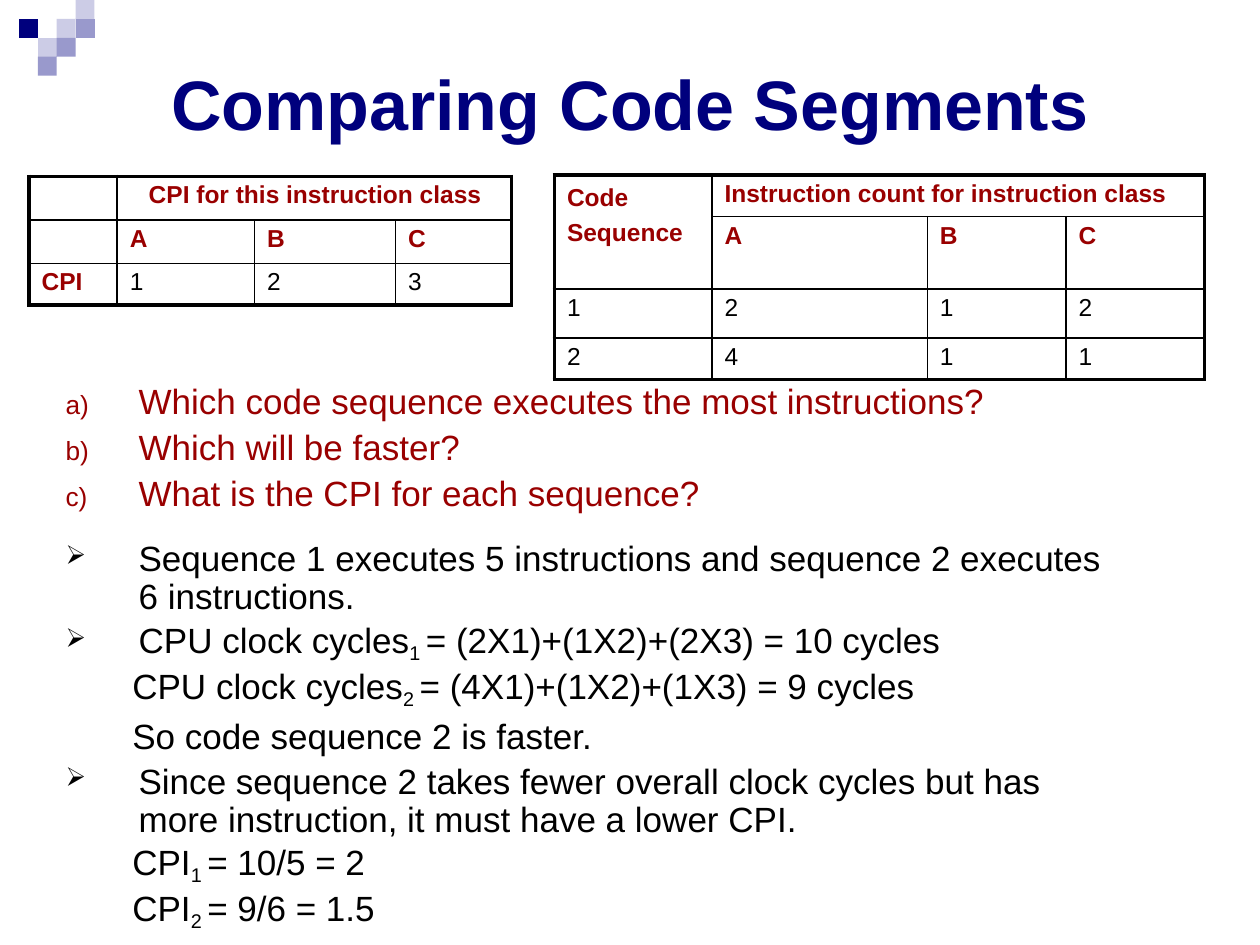
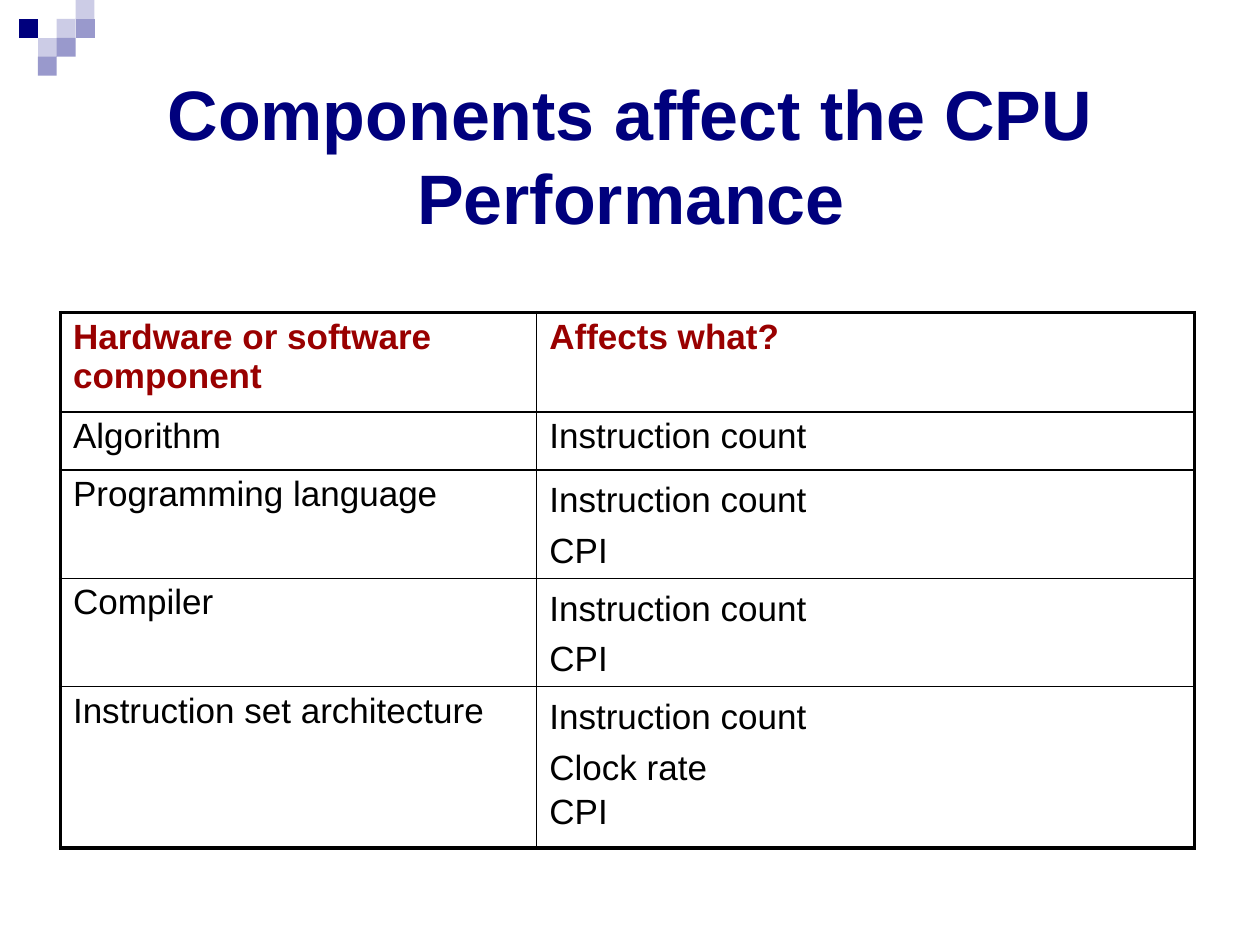
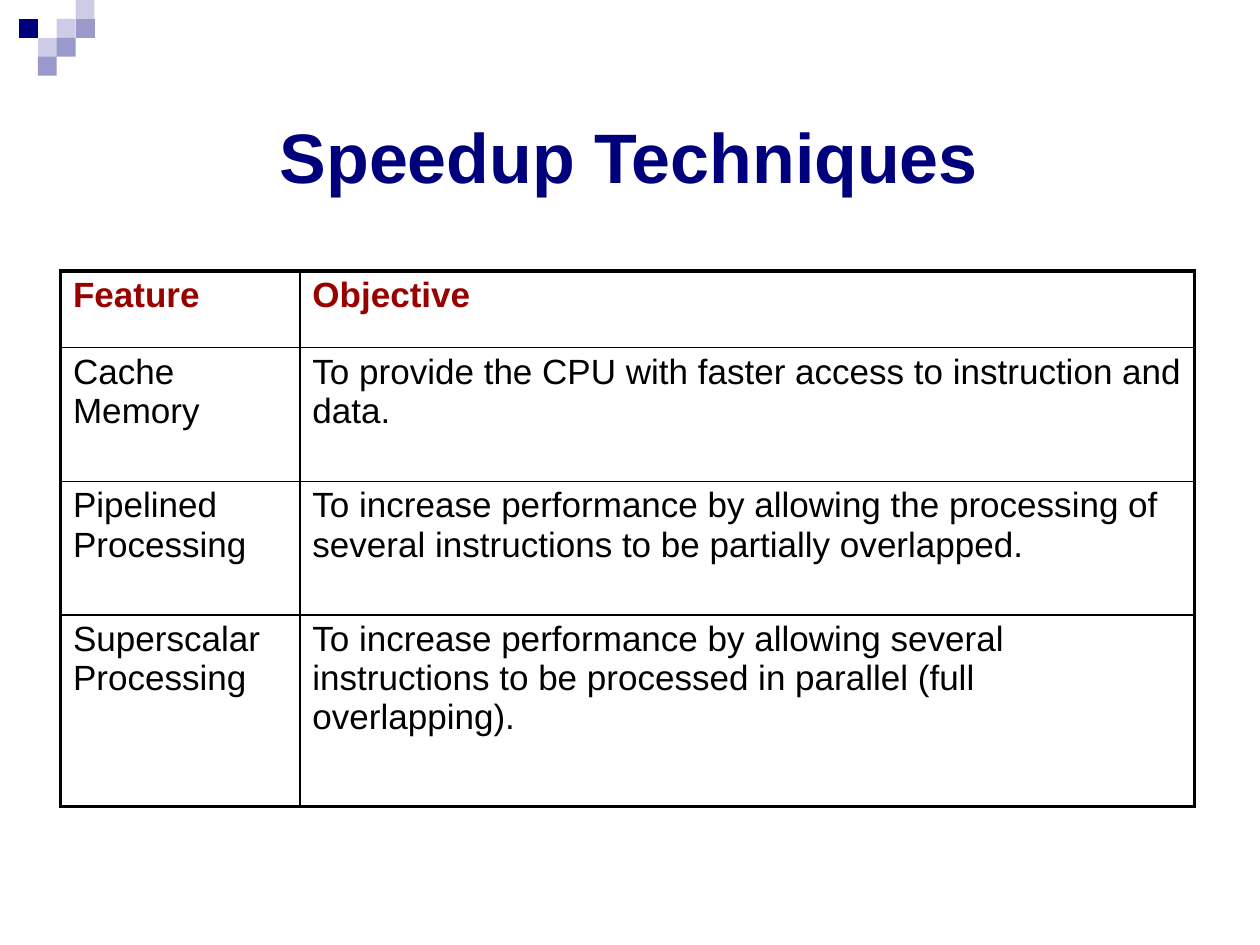
from dataclasses import dataclass
from typing import Any, NamedTuple, Optional

from pptx import Presentation
from pptx.dml.color import RGBColor
from pptx.enum.text import MSO_ANCHOR, MSO_AUTO_SIZE, PP_ALIGN
from pptx.oxml.ns import qn
from pptx.util import Inches, Pt
from lxml.etree import SubElement

NAVY = RGBColor(0x00, 0x00, 0x7D)
PERIWINKLE = RGBColor(0x99, 0x99, 0xCC)
LAVENDER = RGBColor(0xCC, 0xCC, 0xE6)
RED = RGBColor(0x99, 0x00, 0x00)
BLACK = RGBColor(0x00, 0x00, 0x00)

FONT = "Arial"
TITLE_ONLY = 5
CORNER_CELL = Inches(0.15)
OUTER_BORDER, INNER_BORDER = Pt(2.25), Pt(1)
CELL_INDENT = 0.1
LETTERED, ARROW = "a)", "➢"


class Box(NamedTuple):
    left: float
    top: float
    width: float
    height: float


class CornerMark(NamedTuple):
    """Squares of one colour, as (column, row) on the corner grid."""
    color: RGBColor
    squares: list[tuple[int, int]]


class Line(NamedTuple):
    """One paragraph; text between underscores is subscript."""
    text: str
    before: float = 0
    spacing: Optional[float] = None
    indent: float = CELL_INDENT
    hanging: float = 0
    bullet: str = ""
    color: RGBColor = BLACK


class TextStyle(NamedTuple):
    size: float
    bold: bool = False


class Cell(NamedTuple):
    lines: list[Line]
    bold: bool = False
    top: float = 0.04
    right: float = 0
    span: tuple[int, int] = (1, 1)


@dataclass
class Title:
    text: str
    box: Box
    top: float = 0.01
    indent: float = 0.01
    hanging: float = 0


@dataclass
class TableSpec:
    box: Box
    size: float
    columns: list[float]
    rows: list[float]
    cells: list[list[Optional[Cell]]]


CORNER = [
    CornerMark(LAVENDER, [(3, 1), (4, 0)]),
    CornerMark(PERIWINKLE, [(4, 1)]),
    CornerMark(LAVENDER, [(2, 2)]),
    CornerMark(NAVY, [(1, 1)]),
    CornerMark(PERIWINKLE, [(3, 2), (2, 3)]),
]


def header(text: str, indent: float = CELL_INDENT, **options: Any) -> Cell:
    return Cell([Line(text, 3, indent=indent, color=RED)], bold=True, **options)


def entry(text: str, **options: Any) -> Cell:
    return Cell([Line(text, 3)], **options)


def stacked(*texts: str, last: str = "") -> Cell:
    """A cell of widely spaced lines, with an optional tighter last one."""
    lines = [Line(text, spacing=28.8) for text in texts]
    if last:
        lines.append(Line(last, 3))
    return Cell(lines, top=0)


def question(text: str, before: float = 2.4) -> Line:
    return Line(text, before, 24, 0.67, -0.58, LETTERED, RED)


def answer(text: str, before: float, spacing: float = 21.6) -> Line:
    return Line(text, before, spacing, 0.67, -0.58, ARROW)


def working(text: str, before: float = 0) -> Line:
    return Line(text, before, 26.4, 0.62)


CPI_TABLE = TableSpec(
    Box(0.23, 1.4, 3.83, 1), 14, [0.7, 1.09, 1.12, 0.92], [0.33] * 3,
    [
        [Cell([]), header("CPI for this instruction class", 0.25, span=(1, 3)), None, None],
        [Cell([]), *map(header, "ABC")],
        [header("CPI"), *map(entry, "123")],
    ],
)
code_sequence = Cell([Line("Code Sequence", 1, 20.2, color=RED)], True, 0.01, span=(2, 1))
COUNT_TABLE = TableSpec(
    Box(4.4, 1.39, 5.17, 1.39), 14, [1.25, 1.71, 1.1, 1.1], [0.33, 0.33, 0.39, 0.33],
    [
        [code_sequence, header("Instruction count for instruction class", span=(1, 3)), None, None],
        [None, *map(header, "ABC")],
        [*map(entry, "1212")],
        [*map(entry, "2411")],
    ],
)
COMPONENT_TABLE = TableSpec(
    Box(0.48, 2.48, 9, 4.25), 20, [3.78, 5.22], [0.79, 0.46, 0.86, 0.86, 1.28],
    [
        [header("Hardware or software component"), header("Affects what?")],
        [entry("Algorithm"), entry("Instruction count")],
        [entry("Programming language"), stacked("Instruction count", "CPI")],
        [entry("Compiler"), stacked("Instruction count", "CPI")],
        [entry("Instruction set architecture"),
         stacked("Instruction count", "Clock rate", last="CPI")],
    ],
)
SPEEDUP_TABLE = TableSpec(
    Box(0.48, 2.15, 9, 4.25), 20, [1.9, 7.1], [0.61, 1.06, 1.06, 1.52],
    [
        [header("Feature"), header("Objective")],
        [entry("Cache Memory"),
         entry("To provide the CPU with faster access to instruction and data.")],
        [entry("Pipelined Processing"),
         entry("To increase performance by allowing the processing of several "
               "instructions to be partially overlapped.")],
        [entry("Superscalar Processing"),
         entry("To increase performance by allowing several instructions to be "
               "processed in parallel (full overlapping).", right=0.5)],
    ],
)
DISCUSSION_BOX = Box(0.43, 2.96, 8.62, 4.44)
DISCUSSION = [
    question("Which code sequence executes the most instructions?", 3.4),
    question("Which will be faster?"),
    question("What is the CPI for each sequence?"),
    answer("Sequence 1 executes 5 instructions and sequence 2 executes 6 instructions.", 15.7),
    answer("CPU clock cycles_1 _= (2X1)+(1X2)+(2X3) = 10 cycles", 0.9, 26.4),
    working("CPU clock cycles_2 _= (4X1)+(1X2)+(1X3) = 9 cycles"),
    working("So code sequence 2 is faster."),
    answer("Since sequence 2 takes fewer overall clock cycles but has more instruction, "
           "it must have a lower CPI.", 3.9),
    working("CPI_1 _= 10/5 = 2", 0.7),
    working("CPI_2 _= 9/6 = 1.5"),
]


def set_format(target: Any, values: dict[str, Any]) -> None:
    for name, value in values.items():
        setattr(target, name, value)


def margins(top: float, right: float = 0) -> dict[str, Any]:
    return {"margin_left": 0, "margin_top": Inches(top),
            "margin_right": Inches(right), "margin_bottom": 0}


def add_bullet(properties: Any, bullet: str) -> None:
    SubElement(properties, qn("a:buSzPct"), val="75000")
    if bullet == LETTERED:
        SubElement(properties, qn("a:buAutoNum"), type="alphaLcParenR")
    else:
        SubElement(properties, qn("a:buChar"), char=bullet)


def write_lines(text_frame: Any, lines: list[Line], style: TextStyle) -> None:
    for index, line in enumerate(lines):
        paragraph = text_frame.add_paragraph() if index else text_frame.paragraphs[0]
        set_format(paragraph, {
            "alignment": PP_ALIGN.LEFT,
            "space_before": Pt(line.before),
            "line_spacing": Pt(line.spacing) if line.spacing else 1.0,
        })
        properties = paragraph._p.get_or_add_pPr()
        properties.set("marL", str(Inches(line.indent)))
        properties.set("indent", str(Inches(line.hanging)))
        if line.bullet:
            add_bullet(properties, line.bullet)
        for position, text in enumerate(line.text.split("_")):
            subscript = position % 2 == 1
            run = paragraph.add_run()
            run.text = text
            size = style.size - 0.5 if subscript else style.size
            set_format(run.font, {"name": FONT, "size": Pt(size), "bold": style.bold})
            run.font.color.rgb = line.color
            if subscript:
                run._r.get_or_add_rPr().set("baseline", "-21000")


def add_corner(slide: Any) -> None:
    for mark in CORNER:
        (column, row), *_ = mark.squares
        builder = slide.shapes.build_freeform(column, row, scale=float(CORNER_CELL))
        for index, (x, y) in enumerate(mark.squares):
            if index:
                builder.move_to(x, y)
            builder.add_line_segments([(x + 1, y), (x + 1, y + 1), (x, y + 1)], close=True)
        shape = builder.convert_to_shape()
        shape.shadow.inherit = False
        shape.fill.solid()
        shape.fill.fore_color.rgb = mark.color
        shape.line.fill.background()


def add_title(slide: Any, title: Title) -> None:
    shape = slide.shapes.title
    set_format(shape, {name: Inches(value) for name, value in title.box._asdict().items()})
    set_format(shape.text_frame, margins(title.top) | {
        "vertical_anchor": MSO_ANCHOR.TOP,
        "auto_size": MSO_AUTO_SIZE.NONE,
        "word_wrap": True,
    })
    line = Line(title.text, 0.9, 48, title.indent, title.hanging, color=NAVY)
    write_lines(shape.text_frame, [line], TextStyle(40, True))


def add_discussion(slide: Any) -> None:
    text_frame = slide.shapes.add_textbox(*map(Inches, DISCUSSION_BOX)).text_frame
    set_format(text_frame, margins(0.05, 0.2) | {"word_wrap": True})
    write_lines(text_frame, DISCUSSION, TextStyle(20))


def add_borders(cell: Any, outer_sides: dict[str, bool]) -> None:
    properties = cell._tc.get_or_add_tcPr()
    for side, is_outer in outer_sides.items():
        width = OUTER_BORDER if is_outer else INNER_BORDER
        border = SubElement(properties, qn(f"a:ln{side}"), w=str(width))
        fill = SubElement(border, qn("a:solidFill"))
        SubElement(fill, qn("a:srgbClr"), val=str(BLACK))


def add_table(slide: Any, spec: TableSpec) -> None:
    row_count, column_count = len(spec.rows), len(spec.columns)
    table = slide.shapes.add_table(row_count, column_count, *map(Inches, spec.box)).table
    set_format(table, {"first_row": False, "horz_banding": False})
    for column, width in zip(table.columns, spec.columns):
        column.width = Inches(width)
    for row, height in zip(table.rows, spec.rows):
        row.height = Inches(height)
    for row_index, row_cells in enumerate(spec.cells):
        for column_index, content in enumerate(row_cells):
            cell = table.cell(row_index, column_index)
            if content is None:
                cell.fill.background()
                continue
            row_end = row_index + content.span[0]
            column_end = column_index + content.span[1]
            if content.span != (1, 1):
                cell.merge(table.cell(row_end - 1, column_end - 1))
            set_format(cell, margins(content.top, content.right))
            write_lines(cell.text_frame, content.lines, TextStyle(spec.size, content.bold))
            add_borders(cell, {
                "L": column_index == 0,
                "R": column_end == column_count,
                "T": row_index == 0,
                "B": row_end == row_count,
            })
            cell.fill.background()


def add_slide(presentation: Any, title: Title, tables: list[TableSpec]) -> Any:
    slide = presentation.slides.add_slide(presentation.slide_layouts[TITLE_ONLY])
    add_corner(slide)
    add_title(slide, title)
    for table in tables:
        add_table(slide, table)
    return slide


def main() -> None:
    presentation = Presentation()
    set_format(presentation, {"slide_width": Inches(10), "slide_height": Inches(7.5)})
    comparison = add_slide(
        presentation,
        Title("Comparing Code Segments", Box(1.35, 0.47, 7.3, 0.69)),
        [CPI_TABLE, COUNT_TABLE],
    )
    add_discussion(comparison)
    add_slide(
        presentation,
        Title("Components affect the CPU Performance", Box(1.32, 0.55, 7.37, 1.36),
              indent=1.99, hanging=-1.98),
        [COMPONENT_TABLE],
    )
    add_slide(
        presentation,
        Title("Speedup Techniques", Box(0.82, 0.46, 8.37, 1.23), top=0.44, indent=1.4),
        [SPEEDUP_TABLE],
    )
    presentation.save("out.pptx")


if __name__ == "__main__":
    main()
